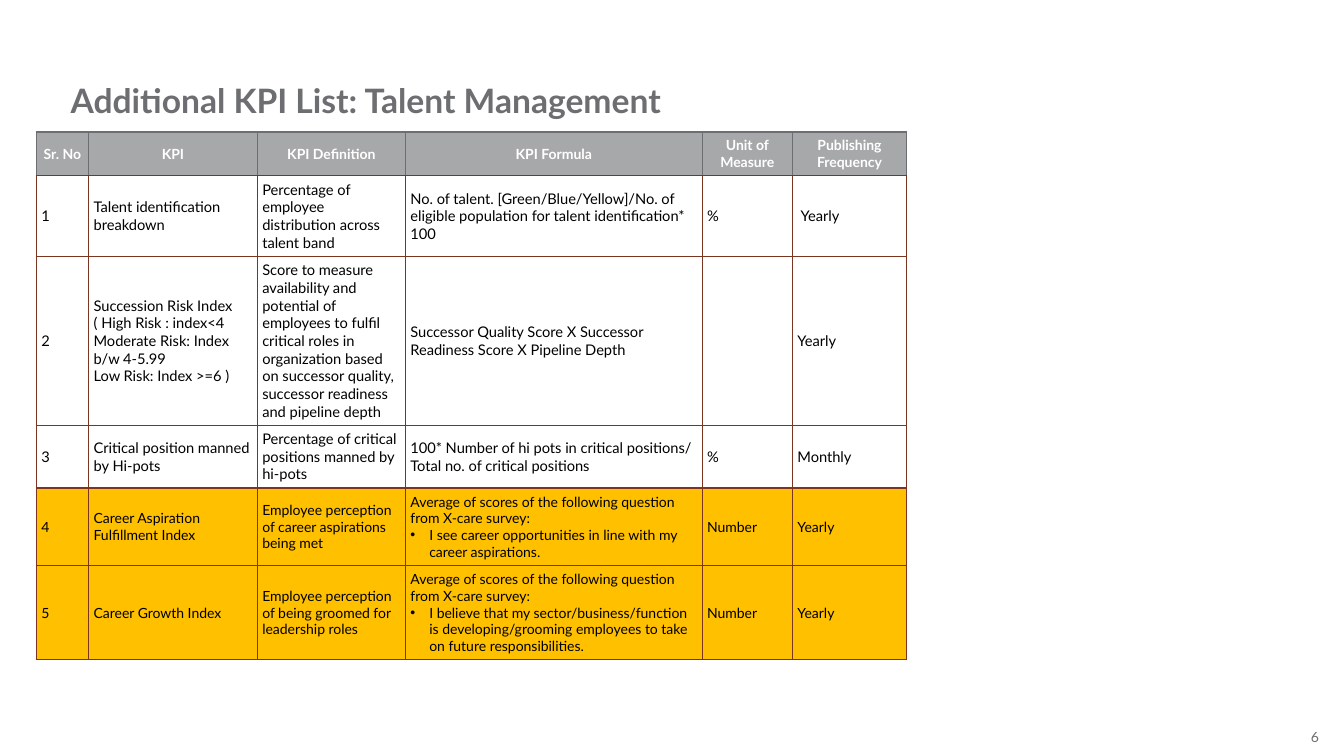
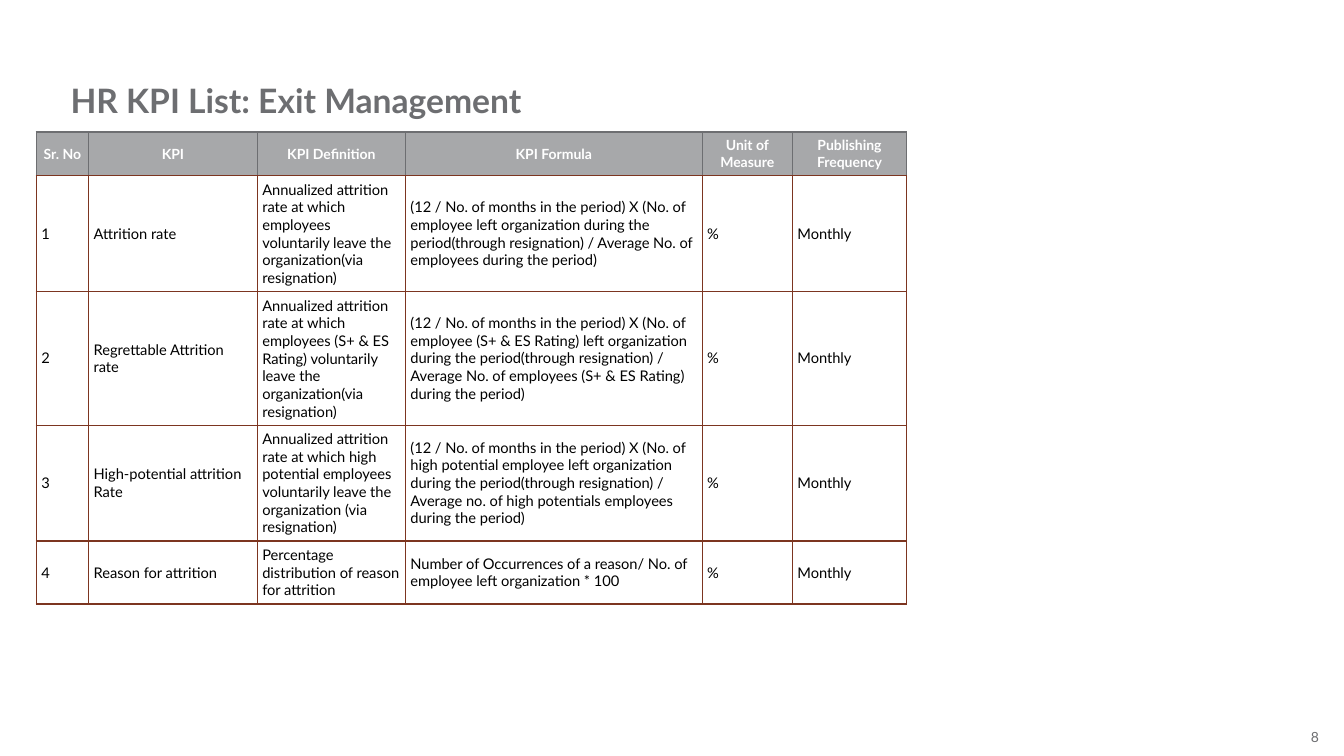
from pptx import Presentation
from pptx.dml.color import RGBColor as Rgb
from pptx.enum.text import MSO_ANCHOR as Anchor, PP_ALIGN as Align
from pptx.oxml import parse_xml
from pptx.oxml.ns import nsdecls
from pptx.util import Pt

HEADERS = ["Sr. No", "KPI", "KPI Definition", "KPI Formula",
           "Unit of Measure", "Publishing Frequency"]
SURVEY = "Average of scores of the following question from X-care survey:"
BULLET = "• "

# Each KPI: name, definition, formula, unit, frequency; "\n" starts a paragraph.
TALENT_KPIS = [
    ("Talent identification breakdown",
     "Percentage of employee distribution across talent band",
     "No. of talent. [Green/Blue/Yellow]/No. of eligible population "
     "for talent identification* 100",
     "%", "\u00a0Yearly"),
    ("Succession Risk Index\n( High Risk : index<4\n"
     "Moderate Risk: Index b/w 4-5.99\nLow Risk: Index >=6 )",
     "Score to measure availability and potential of employees to fulfil "
     "critical roles in organization based on successor quality, "
     "successor readiness and pipeline depth",
     "Successor Quality Score X Successor Readiness Score X Pipeline Depth",
     "", "Yearly"),
    ("Critical position manned by Hi-pots",
     "Percentage of critical positions manned by hi-pots",
     "100* Number of hi pots in critical positions/ "
     "Total no. of critical positions",
     "%", "Monthly"),
    ("Career Aspiration Fulfillment Index",
     "Employee perception of career aspirations being met",
     SURVEY + "\n" + BULLET + "I see career opportunities in line with "
     "my career aspirations.",
     "Number", "Yearly"),
    ("Career Growth Index",
     "Employee perception of being groomed for leadership roles",
     SURVEY + "\n" + BULLET + "I believe that my sector/business/function is "
     "developing/grooming employees to take on future responsibilities.",
     "Number", "Yearly"),
]
EXIT_KPIS = [
    ("Attrition rate",
     "Annualized attrition rate at which employees voluntarily leave "
     "the organization(via resignation)",
     "(12 / No. of months in the period) X (No. of employee left organization "
     "during the period(through resignation) / Average No. of employees "
     "during the period)",
     "%", "Monthly"),
    ("Regrettable Attrition rate",
     "Annualized attrition rate at which employees (S+ & ES Rating) "
     "voluntarily leave the organization(via resignation)",
     "(12 / No. of months in the period) X (No. of employee (S+ & ES Rating) "
     "left organization during the period(through resignation) / Average No. "
     "of employees (S+ & ES Rating) during the period)",
     "%", "Monthly"),
    ("High-potential attrition Rate",
     "Annualized attrition rate at which high potential employees "
     "voluntarily leave the organization (via resignation)",
     "(12 / No. of months in the period) X (No. of high potential employee "
     "left organization during the period(through resignation) / Average no. "
     "of high potentials employees during the period)",
     "%", "Monthly"),
    ("Reason for attrition",
     "Percentage distribution of reason for attrition",
     "Number of Occurrences of a reason/ No. of employee left organization "
     "* 100",
     "%", "Monthly"),
]
# Title, page number, KPIs, highlighted serial numbers, table height
PAGES = [
    ("Additional KPI List: Talent Management", "6", TALENT_KPIS, {4, 5}, 376.6),
    ("HR KPI List: Exit Management", "8", EXIT_KPIS, set(), 337),
]

COLORS = {"grey": "6D6E71", "header": "A7A8AA", "rule": "7C3520",
          "highlight": "FFC000", "white": "FFFFFF", "black": "000000"}
FONT = "Lato"
TABLE_LEFT, TABLE_TOP = 25.9, 94.3
COLUMN_WIDTHS = [37.4, 120.5, 105.8, 212, 64.5, 81.6]
HEADER_HEIGHT, ROW_HEIGHT = 31.2, 23
CELL_MARGIN, BULLET_INDENT = 3.6, 13.5


def style_text(frame, size, color, bold=False, align=Align.LEFT):
    """Give every paragraph of a text frame one look."""
    for paragraph in frame.paragraphs:
        paragraph.alignment = align
        for run in paragraph.runs:
            run.font.name = FONT
            run.font.size = Pt(size)
            run.font.bold = bold
            run.font.color.rgb = Rgb.from_string(COLORS[color])


def add_label(slide, text, box, anchor, **style):
    """Add a text box without margins."""
    frame = slide.shapes.add_textbox(*map(Pt, box)).text_frame
    frame.word_wrap = True
    frame.vertical_anchor = anchor
    frame.margin_left = frame.margin_right = 0
    frame.margin_top = frame.margin_bottom = 0
    frame.text = text
    style_text(frame, **style)


def set_borders(cell, side_color, bottom_color):
    """Draw 1 pt borders: left, right and top in one colour, bottom in another."""
    properties = cell._tc.get_or_add_tcPr()
    for position, side in enumerate("LRTB"):
        color = COLORS[bottom_color if side == "B" else side_color]
        properties.insert(position, parse_xml(
            f'<a:ln{side} {nsdecls("a")} w="{Pt(1)}"><a:solidFill>'
            f'<a:srgbClr val="{color}"/></a:solidFill></a:ln{side}>'))


def format_bullets(frame):
    """Turn paragraphs marked with a bullet into real list items."""
    for paragraph in frame.paragraphs:
        if paragraph.text.startswith(BULLET):
            paragraph.text = paragraph.text[len(BULLET):]
            properties = paragraph._p.get_or_add_pPr()
            properties.set("marL", str(Pt(BULLET_INDENT)))
            properties.set("indent", str(-Pt(BULLET_INDENT)))
            properties.append(parse_xml(
                f'<a:buFont {nsdecls("a")} typeface="Arial"/>'))
            properties.append(parse_xml(
                f'<a:buChar {nsdecls("a")} char="{BULLET.strip()}"/>'))


def fill_cell(cell, text, fill, side_color="rule", **style):
    """Write one table cell with its fill, borders and text style."""
    cell.vertical_anchor = Anchor.MIDDLE
    cell.margin_left = cell.margin_right = Pt(CELL_MARGIN)
    cell.margin_top = cell.margin_bottom = Pt(CELL_MARGIN)
    if fill:
        cell.fill.solid()
        cell.fill.fore_color.rgb = Rgb.from_string(COLORS[fill])
    else:
        cell.fill.background()
    set_borders(cell, side_color, "rule")
    cell.text_frame.text = text
    format_bullets(cell.text_frame)
    style_text(cell.text_frame, **style)


def add_kpi_table(slide, kpis, highlighted, height):
    """Add the KPI table; rows grow with their text."""
    frame = slide.shapes.add_table(
        len(kpis) + 1, len(HEADERS), Pt(TABLE_LEFT), Pt(TABLE_TOP),
        Pt(sum(COLUMN_WIDTHS)), Pt(height))
    table = frame.table
    table.first_row = table.horz_banding = False
    for column, width in zip(table.columns, COLUMN_WIDTHS):
        column.width = Pt(width)
    for number, row in enumerate(table.rows):
        row.height = Pt(ROW_HEIGHT if number else HEADER_HEIGHT)
    frame.height = Pt(height)

    for cell, header in zip(table.rows[0].cells, HEADERS):
        fill_cell(cell, header, "header", "grey", size=10, color="white",
                  bold=True, align=Align.CENTER)
    for number, kpi in enumerate(kpis, 1):
        marked = number in highlighted
        for cell, text in zip(table.rows[number].cells, (str(number), *kpi)):
            fill_cell(cell, text, "highlight" if marked else None,
                      size=10 if marked else 10.5, color="black")


def build():
    """Build and save the presentation."""
    deck = Presentation()
    deck.slide_width, deck.slide_height = Pt(960), Pt(540)
    for title, page_number, kpis, highlighted, height in PAGES:
        slide = deck.slides.add_slide(deck.slide_layouts[6])
        add_label(slide, page_number, (930, 520.5, 12.2, 12), Anchor.MIDDLE,
                  size=10, color="grey", align=Align.RIGHT)
        add_label(slide, title, (50.4, 57, 863, 28.8), Anchor.TOP,
                  size=24, color="grey", bold=True)
        add_kpi_table(slide, kpis, highlighted, height)
    deck.save("out.pptx")


build()
